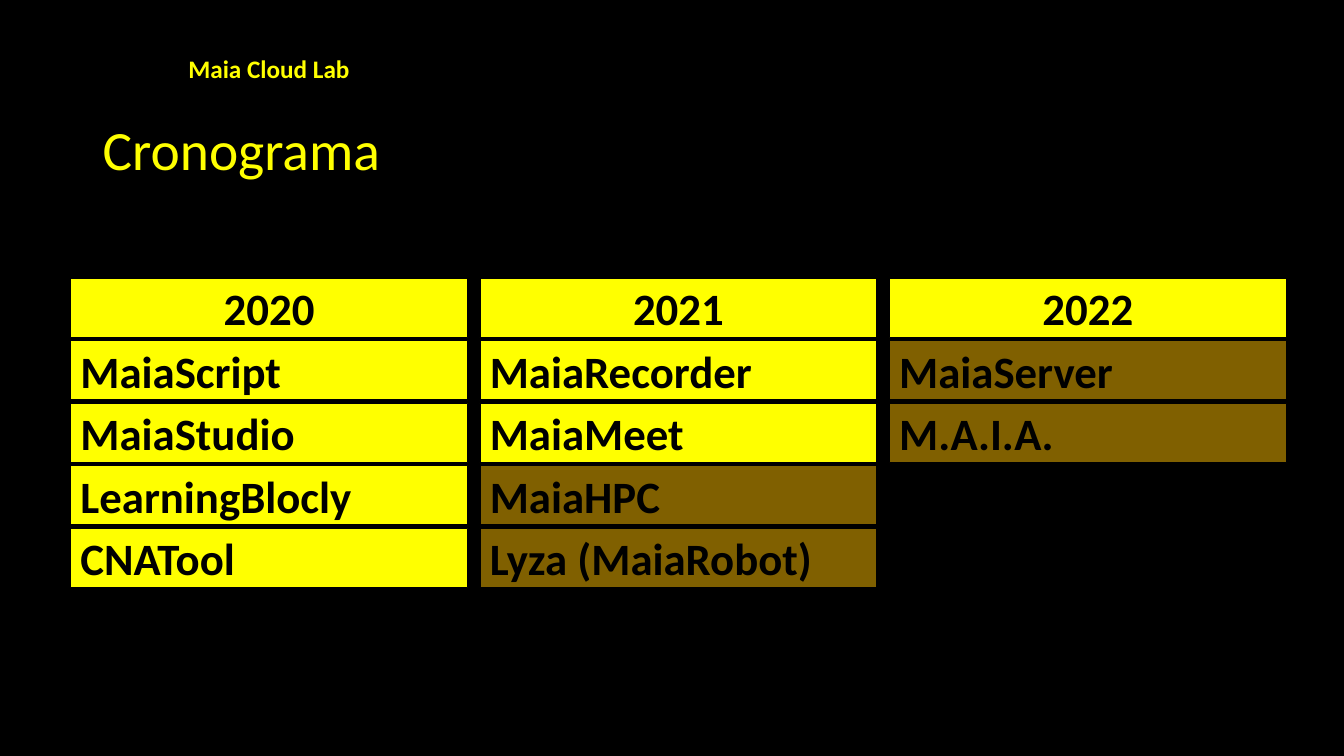
from pptx import Presentation
from pptx.dml.color import RGBColor
from pptx.enum.shapes import MSO_SHAPE
from pptx.enum.text import MSO_ANCHOR, PP_ALIGN
from pptx.util import Inches, Pt

BLACK = RGBColor(0x00, 0x00, 0x00)
YELLOW = RGBColor(0xFF, 0xFF, 0x00)
BROWN = RGBColor(0x80, 0x60, 0x00)

# Each year lists its finished projects, then its pending ones
SCHEDULE = [
    ("2020", ["MaiaScript", "MaiaStudio", "LearningBlocly", "CNATool"], []),
    ("2021", ["MaiaRecorder", "MaiaMeet"], ["MaiaHPC", "Lyza (MaiaRobot)"]),
    ("2022", [], ["MaiaServer", "M.A.I.A."]),
]
LEFT, TOP = 0.7, 2.76
COLUMN_STEP, ROW_STEP = 4.06, 0.62
CELL_WIDTH, CELL_HEIGHT = 3.94, 0.59


def write(shape, text, size, color, bold=False, align=PP_ALIGN.LEFT):
    frame = shape.text_frame
    frame.word_wrap = True
    frame.vertical_anchor = MSO_ANCHOR.MIDDLE
    paragraph = frame.paragraphs[0]
    paragraph.text = text
    paragraph.alignment = align
    paragraph.font.name = "Calibri"
    paragraph.font.size = Pt(size)
    paragraph.font.bold = bold
    paragraph.font.color.rgb = color
    return paragraph


presentation = Presentation()
presentation.slide_width = Inches(13.33)
presentation.slide_height = Inches(7.5)
slide = presentation.slides.add_slide(presentation.slide_layouts[6])
slide.background.fill.solid()
slide.background.fill.fore_color.rgb = BLACK

lab_name = slide.shapes.add_textbox(Inches(1.77), Inches(0.48), Inches(2.14), Inches(0.4))
write(lab_name, "Maia Cloud Lab", 18, YELLOW, bold=True)

title = slide.shapes.add_textbox(Inches(0.92), Inches(1.18), Inches(11.5), Inches(0.67))
write(title, "Cronograma", 39.6, YELLOW).line_spacing = 0.9

for column, (year, finished, pending) in enumerate(SCHEDULE):
    for row, label in enumerate([year] + finished + pending):
        cell = slide.shapes.add_shape(
            MSO_SHAPE.RECTANGLE,
            Inches(LEFT + column * COLUMN_STEP), Inches(TOP + row * ROW_STEP),
            Inches(CELL_WIDTH), Inches(CELL_HEIGHT),
        )
        cell.shadow.inherit = False
        cell.fill.solid()
        cell.fill.fore_color.rgb = BROWN if label in pending else YELLOW
        cell.line.color.rgb = BLACK
        cell.line.width = Pt(1)
        align = PP_ALIGN.CENTER if row == 0 else PP_ALIGN.LEFT
        write(cell, label, 32, BLACK, bold=True, align=align)

presentation.save("out.pptx")
